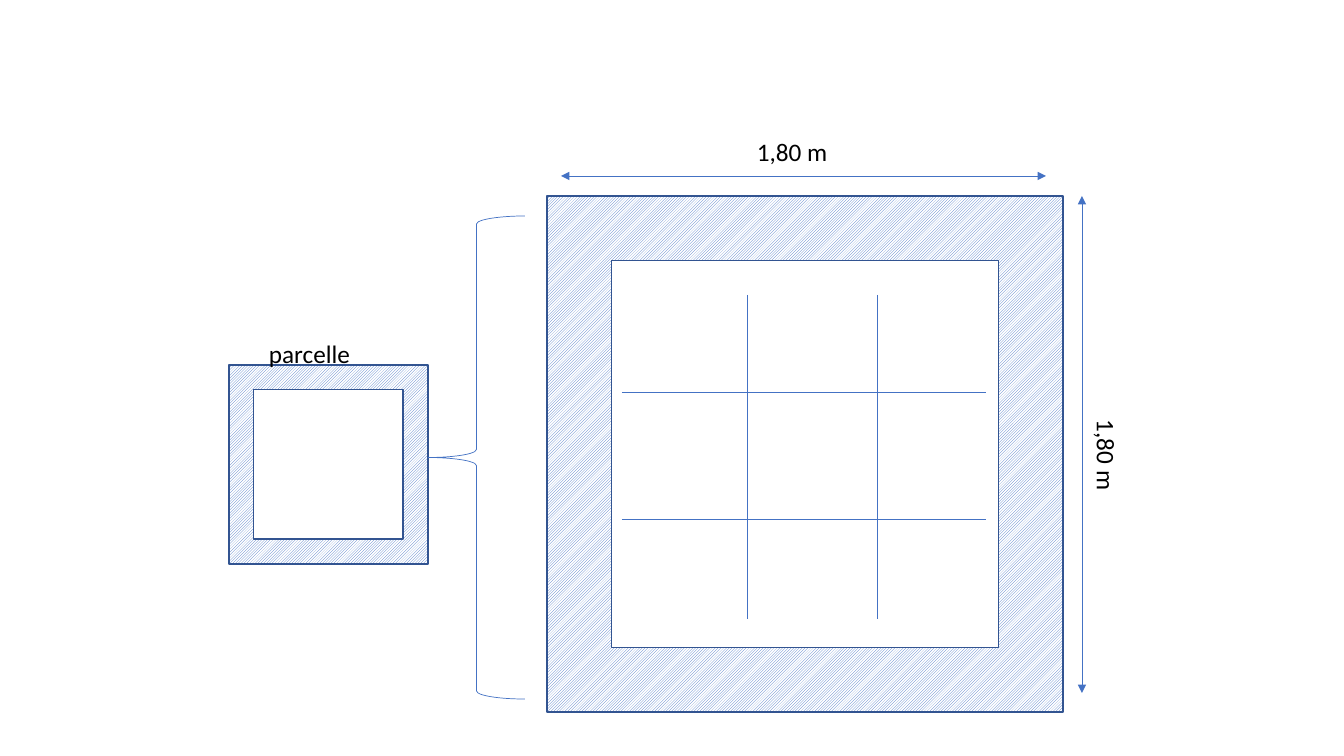
from lxml import etree
from pptx import Presentation
from pptx.dml.color import RGBColor
from pptx.enum.dml import MSO_PATTERN
from pptx.enum.shapes import MSO_CONNECTOR, MSO_SHAPE
from pptx.enum.text import MSO_AUTO_SIZE
from pptx.oxml.ns import qn
from pptx.util import Emu, Pt

HATCH = MSO_PATTERN.DARK_UPWARD_DIAGONAL
STRAIGHT = MSO_CONNECTOR.STRAIGHT
FRAME = MSO_SHAPE.FRAME
LEFT_BRACE = MSO_SHAPE.LEFT_BRACE
GROW = MSO_AUTO_SIZE.SHAPE_TO_FIT_TEXT
BLUE, OUTLINE, WHITE, BLACK = "4472C4", "325491", "FFFFFF", "000000"


def px(*lengths):
    return [Emu(round(length * 914400 / 100.8)) for length in lengths]


def color(value):
    return RGBColor.from_string(value)


deck = Presentation()
deck.slide_width, deck.slide_height = px(1344, 756)
page = deck.slides.add_slide(deck.slide_layouts[6])

for left, top, side in [(229, 365, 199), (547, 196, 516)]:
    plot = page.shapes.add_shape(FRAME, *px(left, top, side, side))
    plot.shadow.inherit = False
    plot.fill.patterned()
    plot.fill.pattern = HATCH
    plot.fill.fore_color.rgb = color(BLUE)
    plot.fill.back_color.rgb = color(WHITE)
    plot.line.color.rgb = color(OUTLINE)
    plot.line.width = Pt(1)

brace = page.shapes.add_shape(LEFT_BRACE, *px(428, 216, 97, 483))
brace.shadow.inherit = False
brace.fill.background()
brace.line.color.rgb = color(BLUE)
brace.line.width = Pt(0.5)

grid_lines = [(x, 295, x, 619, False) for x in (747, 877)]
grid_lines += [(622, y, 986, y, False) for y in (392, 519)]
dimensions = [(561, 176, 1046, 176, True), (1082, 196, 1082, 693, True)]
for x1, y1, x2, y2, arrows in grid_lines + dimensions:
    line = page.shapes.add_connector(STRAIGHT, *px(x1, y1, x2, y2))
    line.line.color.rgb = color(BLUE)
    line.line.width = Pt(0.5)
    properties = line._element.spPr
    etree.SubElement(properties, qn("a:effectLst"))
    if arrows:
        for end in ("a:headEnd", "a:tailEnd"):
            etree.SubElement(properties.find(qn("a:ln")), qn(end), type="triangle")

labels = [
    ("1,80 m", 747, 131, 92, 0),
    ("1,80 m", 1061, 436, 92, 90),
    ("parcelle", 259, 333, 103, 0),
]
for text, left, top, width, rotation in labels:
    box = page.shapes.add_textbox(*px(left, top, width, 40))
    box.rotation = rotation
    box.text_frame.word_wrap = False
    box.text_frame.auto_size = GROW
    para = box.text_frame.paragraphs[0]
    para.text = text
    para.font.name = "Calibri"
    para.font.size = Pt(18)
    para.font.color.rgb = color(BLACK)

deck.save("out.pptx")
